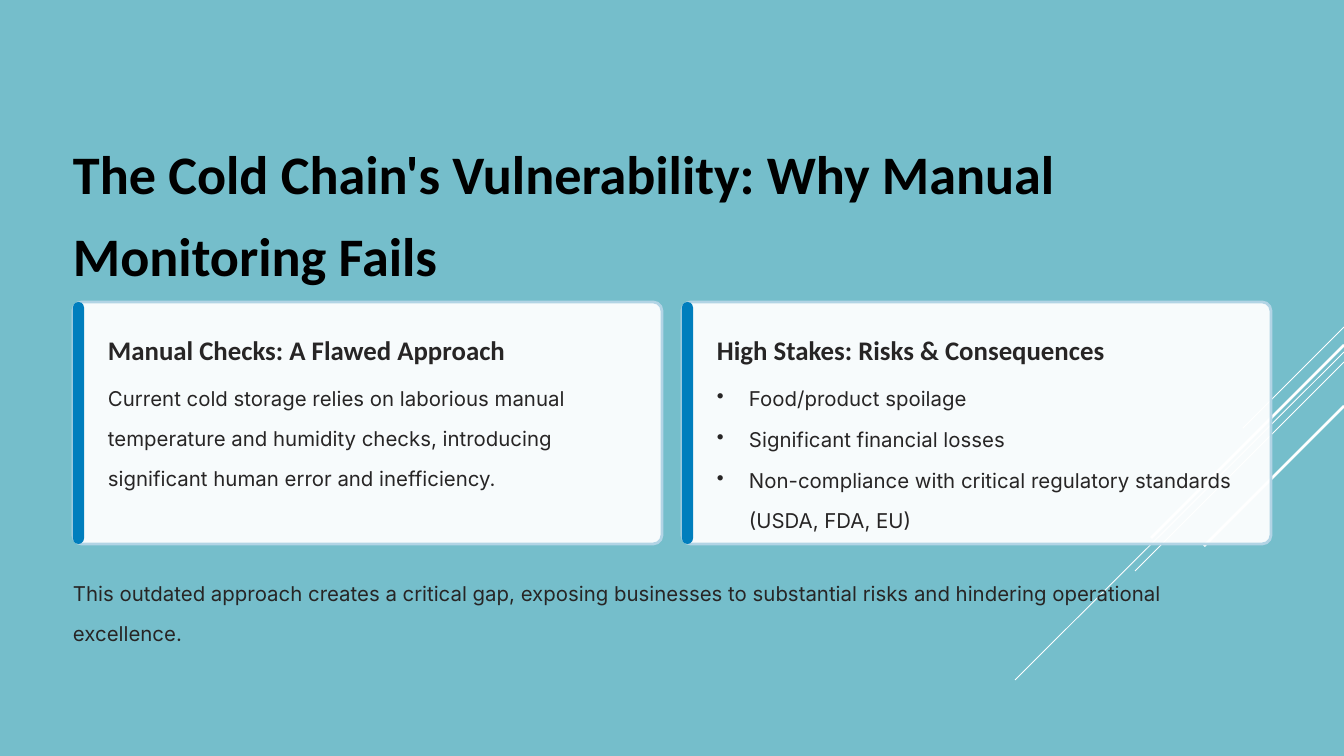
from lxml.etree import SubElement
from pptx import Presentation
from pptx.dml.color import RGBColor
from pptx.enum.shapes import MSO_CONNECTOR, MSO_SHAPE
from pptx.oxml.ns import qn
from pptx.util import Pt

HUES = {"sea": "75BECB", "white": "FFFFFF", "edge": "B2D4E5",
        "bar": "007EBD", "black": "000000", "ink": "272525"}
FORMS = {
    "title": ({"name": "Calibri", "size": Pt(46.5), "bold": True}, "black", 1.26),
    "head": ({"name": "Calibri", "size": Pt(23), "bold": True}, "ink", 1.26),
    "body": ({"name": "Inter", "size": Pt(17.5), "bold": False}, "ink", 1.63),
}
RAYS = [(327, 1243, 428, 0.75), (352, 1015, 680, 0.75), (362, 1135, 571, 0.75),
        (345, 1151, 538, 2.25), (406, 1204, 546, 2.25)]
CARDS = [
    ("Manual Checks: A Flawed Approach",
     ["Current cold storage relies on laborious manual temperature and humidity "
      "checks, introducing significant human error and inefficiency."], False),
    ("High Stakes: Risks & Consequences",
     ["Food/product spoilage", "Significant financial losses",
      "Non-compliance with critical regulatory standards (USDA, FDA, EU)"], True),
]


def emu(px):
    return round(px * 914400 / 84)


def hue(key):
    return RGBColor.from_string(HUES[key])


class Deck:
    """Draws styled elements on the current slide, in px."""

    def __init__(self, wide, high):
        self.show = Presentation()
        self.show.slide_width, self.show.slide_height = emu(wide), emu(high)
        self.slide = self.show.slides.add_slide(self.show.slide_layouts[6])
        fill = self.slide.background.fill
        fill.solid()
        fill.fore_color.rgb = hue("sea")

    def ray(self, top, left, foot, width):
        line = self.slide.shapes.add_connector(
            MSO_CONNECTOR.STRAIGHT, *map(emu, (1344, top, left, foot)))
        line.line.color.rgb = hue("white")
        line.line.width = Pt(width)
        SubElement(line._element.spPr, qn("a:effectLst"))

    def panel(self, area, fill, bend, edge=None, alpha=None):
        shape = self.slide.shapes.add_shape(
            MSO_SHAPE.ROUNDED_RECTANGLE, *map(emu, area))
        shape.shadow.inherit = False
        shape.adjustments[0] = bend
        shape.fill.solid()
        shape.fill.fore_color.rgb = hue(fill)
        if alpha:
            tint = shape._element.spPr.find(qn("a:solidFill"))[0]
            SubElement(tint, qn("a:alpha"), val=str(alpha * 1000))
        if edge:
            shape.line.color.rgb = hue(edge)
            shape.line.width = Pt(2.4)
        else:
            shape.line.fill.background()

    def text(self, area, lines, form, dots=False):
        frame = self.slide.shapes.add_textbox(*map(emu, area)).text_frame
        traits = {"word_wrap": True, "margin_left": 0, "margin_top": 0,
                  "margin_right": 0, "margin_bottom": 0}
        for key, val in traits.items():
            setattr(frame, key, val)
        font, ink, space = FORMS[form]
        for i, line in enumerate(lines):
            para = frame.add_paragraph() if i else frame.paragraphs[0]
            if dots:
                self.dot(para, ink)
            para.line_spacing = space
            if i:
                para.space_before = Pt(1)
            run = para.add_run()
            run.text = line
            for key, val in font.items():
                setattr(run.font, key, val)
            run.font.color.rgb = hue(ink)

    def dot(self, para, ink):
        props = para._p.get_or_add_pPr()
        props.set("marL", str(emu(32)))
        props.set("indent", str(-emu(32)))
        tint = SubElement(props, qn("a:buClr"))
        SubElement(tint, qn("a:srgbClr"), val=HUES[ink])
        SubElement(props, qn("a:buChar"), char="•")

    def card(self, left, head, lines, dots):
        self.panel((left, 302, 589, 242), "white", 0.036, "edge", 95)
        self.panel((left, 302, 11, 242), "bar", 0.5)
        self.text((left + 35, 325, 530, 34), [head], "head")
        self.text((left + 35, 371, 530, 160), lines, "body", dots)


def main():
    deck = Deck(1344, 756)
    for ray in RAYS:
        deck.ray(*ray)
    deck.text((73, 123, 1198, 137),
              ["The Cold Chain's Vulnerability: Why Manual Monitoring Fails"], "title")
    for i, card in enumerate(CARDS):
        deck.card(73 + 609 * i, *card)
    deck.text((73, 566, 1198, 66),
              ["This outdated approach creates a critical gap, exposing businesses to "
               "substantial risks and hindering operational excellence."], "body")
    deck.show.save("out.pptx")


if __name__ == "__main__":
    main()
